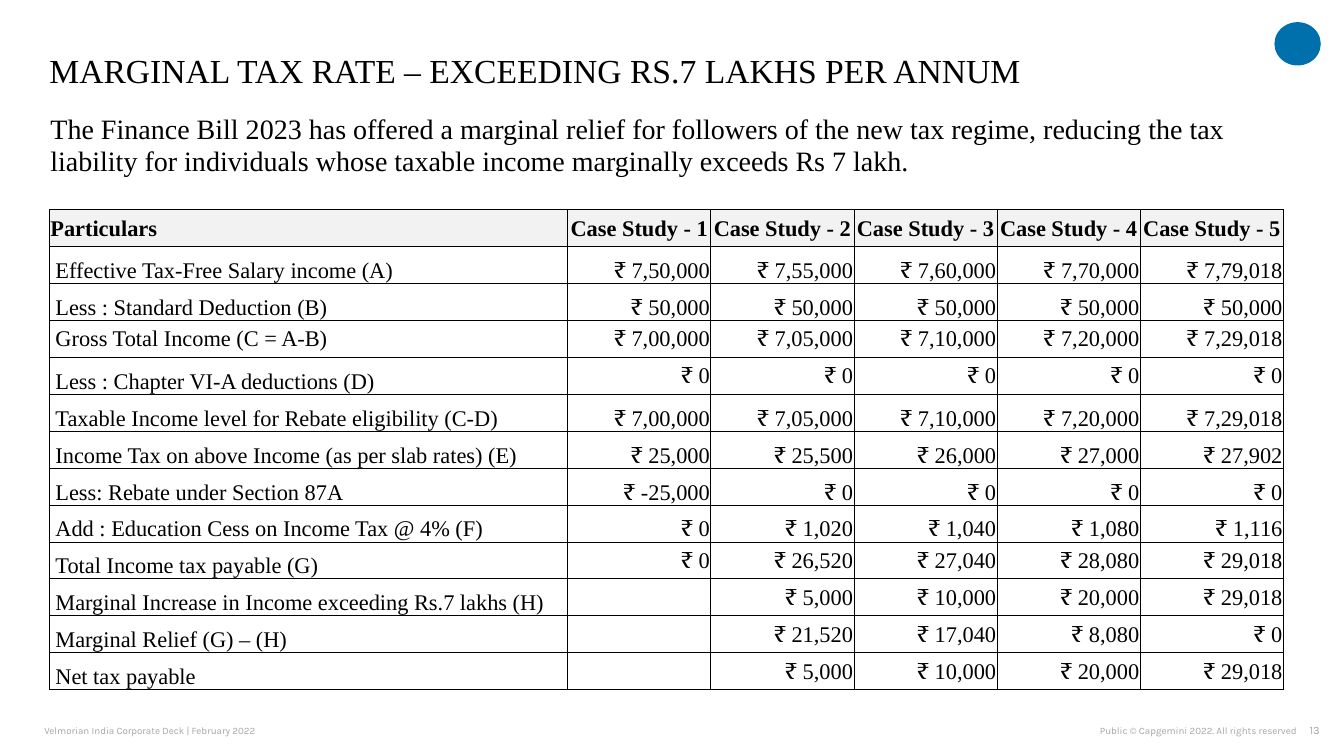
from pptx import Presentation
from pptx.dml.color import RGBColor
from pptx.enum.shapes import MSO_SHAPE
from pptx.enum.text import MSO_ANCHOR, PP_ALIGN
from pptx.oxml import parse_xml
from pptx.oxml.ns import nsdecls
from pptx.util import Inches, Pt

LEFT, CENTER, RIGHT = PP_ALIGN.LEFT, PP_ALIGN.CENTER, PP_ALIGN.RIGHT
TOP, MIDDLE, BOTTOM = MSO_ANCHOR.TOP, MSO_ANCHOR.MIDDLE, MSO_ANCHOR.BOTTOM
OVAL = MSO_SHAPE.OVAL


def color(hex_code):
    return RGBColor.from_string(hex_code)


class TaxSlide:
    SERIF, SANS = "Times New Roman", "Karla"
    BLACK, GREY, HEADER, BLUE = "000000", "A6A6A6", "F2F2F2", "0070AD"

    def __init__(self, prs):
        self.slide = prs.slides.add_slide(prs.slide_layouts[6])

    def run(self, paragraph, text, size, font, ink, bold=False):
        run = paragraph.add_run()
        run.text = text
        run.font.size, run.font.name, run.font.bold = Pt(size), font, bold
        run.font.color.rgb = color(ink)

    def text(self, box, text, size, font, ink, align=LEFT, anchor=MIDDLE, inset=0):
        frame = self.slide.shapes.add_textbox(*map(Inches, box)).text_frame
        frame.word_wrap = True
        frame.vertical_anchor = anchor
        frame.margin_left = frame.margin_right = 0
        frame.margin_top = frame.margin_bottom = Inches(inset)
        paragraph = frame.paragraphs[0]
        paragraph.alignment = align
        self.run(paragraph, text, size, font, ink)
        return paragraph

    def dot(self, box, fill):
        shape = self.slide.shapes.add_shape(OVAL, *map(Inches, box))
        shape.shadow.inherit = False
        shape.fill.solid()
        shape.fill.fore_color.rgb = color(fill)
        shape.line.fill.background()

    def table(self, box, widths, row_count):
        table = self.slide.shapes.add_table(
            row_count, len(widths), *map(Inches, box)).table
        table.first_row = table.horz_banding = False
        for column, width in zip(table.columns, widths):
            column.width = Inches(width)
        for row in table.rows:
            row.height = Inches(box[3] / row_count)
        return table

    def cell(self, cell, text, size, align=LEFT, anchor=TOP, bold=False,
             fill=None, bordered=True, indent=0.01):
        cell.margin_left = Inches(indent)
        cell.margin_right = cell.margin_top = Inches(0.01)
        cell.margin_bottom = 0
        cell.vertical_anchor = anchor
        if bordered:
            self.borders(cell)
        if fill:
            cell.fill.solid()
            cell.fill.fore_color.rgb = color(fill)
        else:
            cell.fill.background()
        if text:
            paragraph = cell.text_frame.paragraphs[0]
            paragraph.alignment = align
            self.run(paragraph, text, size, self.SERIF, self.BLACK, bold)

    def borders(self, cell):
        properties = cell._tc.get_or_add_tcPr()
        for side in ("lnL", "lnR", "lnT", "lnB"):
            properties.append(parse_xml(
                f'<a:{side} {nsdecls("a")} w="{Pt(0.5)}"><a:solidFill>'
                f'<a:srgbClr val="{self.BLACK}"/></a:solidFill></a:{side}>'))


# Label, label anchor, value anchor, one value per case study
HEADINGS = ["Particulars"] + [f"Case Study - {n}" for n in range(1, 6)]
TAX_ROWS = [
    ("Effective Tax-Free Salary income (A)", BOTTOM, BOTTOM,
     ["7,50,000", "7,55,000", "7,60,000", "7,70,000", "7,79,018"]),
    ("Less : Standard Deduction (B)", BOTTOM, BOTTOM, ["50,000"] * 5),
    ("Gross Total Income (C = A-B)", MIDDLE, MIDDLE,
     ["7,00,000", "7,05,000", "7,10,000", "7,20,000", "7,29,018"]),
    ("Less : Chapter VI-A deductions (D)", BOTTOM, MIDDLE, ["0"] * 5),
    ("Taxable Income level for Rebate eligibility (C-D)", BOTTOM, BOTTOM,
     ["7,00,000", "7,05,000", "7,10,000", "7,20,000", "7,29,018"]),
    ("Income Tax on above Income (as per slab rates) (E)", BOTTOM, BOTTOM,
     ["25,000", "25,500", "26,000", "27,000", "27,902"]),
    ("Less: Rebate under Section 87A", BOTTOM, BOTTOM,
     ["-25,000", "0", "0", "0", "0"]),
    ("Add : Education Cess on Income Tax @ 4% (F)", BOTTOM, BOTTOM,
     ["0", "1,020", "1,040", "1,080", "1,116"]),
    ("Total Income tax payable (G)", BOTTOM, MIDDLE,
     ["0", "26,520", "27,040", "28,080", "29,018"]),
    ("Marginal Increase in Income exceeding Rs.7 lakhs (H)", BOTTOM, MIDDLE,
     ["", "5,000", "10,000", "20,000", "29,018"]),
    ("Marginal Relief (G) – (H)", BOTTOM, MIDDLE,
     ["", "21,520", "17,040", "8,080", "0"]),
    ("Net tax payable", BOTTOM, MIDDLE,
     ["", "5,000", "10,000", "20,000", "29,018"]),
]


def main():
    prs = Presentation()
    prs.slide_width, prs.slide_height = Inches(13.33), Inches(7.5)
    page = TaxSlide(prs)

    # Corner mark and footer
    page.dot((12.64, 0.22, 0.46, 0.43), page.BLUE)
    page.text((0.44, 7.13, 3.73, 0.24), "Velmorian India Corporate Deck | February 2022",
              7, page.SANS, page.GREY)
    page.text((12.84, 7.13, 0.25, 0.24), "13", 8, page.SANS, page.GREY,
              RIGHT, TOP, 0.05)
    page.text((7.9, 7.13, 4.96, 0.24), "Public © Capgemini 2022. All rights reserved",
              7, page.SANS, page.GREY, RIGHT)

    # Title
    title = page.text((0.49, 0.56, 12.25, 0.34),
                      "MARGINAL TAX RATE – EXCEEDING RS.7 LAKHS PER ANNUM",
                      24, page.SERIF, page.BLACK)
    title.line_spacing, title.space_after = Pt(24), Pt(6)

    # Introduction
    intro = page.table((0.49, 1.13, 12.5, 0.91), [12.5], 1)
    page.cell(intro.cell(0, 0),
              "The Finance Bill 2023 has offered a marginal relief for followers of "
              "the new tax regime, reducing the tax liability for individuals whose "
              "taxable income marginally exceeds Rs 7 lakh.", 20, bordered=False)

    # Case studies
    cases = page.table((0.49, 2.08, 12.25, 4.76), [5.14] + [1.42] * 5,
                       len(TAX_ROWS) + 1)
    for col, heading in enumerate(HEADINGS):
        page.cell(cases.cell(0, col), heading, 16, CENTER if col else LEFT,
                  MIDDLE, bold=True, fill=page.HEADER)
    for row, (label, label_anchor, value_anchor, amounts) in enumerate(TAX_ROWS, 1):
        page.cell(cases.cell(row, 0), label, 16, LEFT, label_anchor, indent=0.06)
        for col, amount in enumerate(amounts, 1):
            page.cell(cases.cell(row, col), amount and f"₹ {amount}", 16,
                      RIGHT, value_anchor)

    prs.save("out.pptx")


if __name__ == "__main__":
    main()
